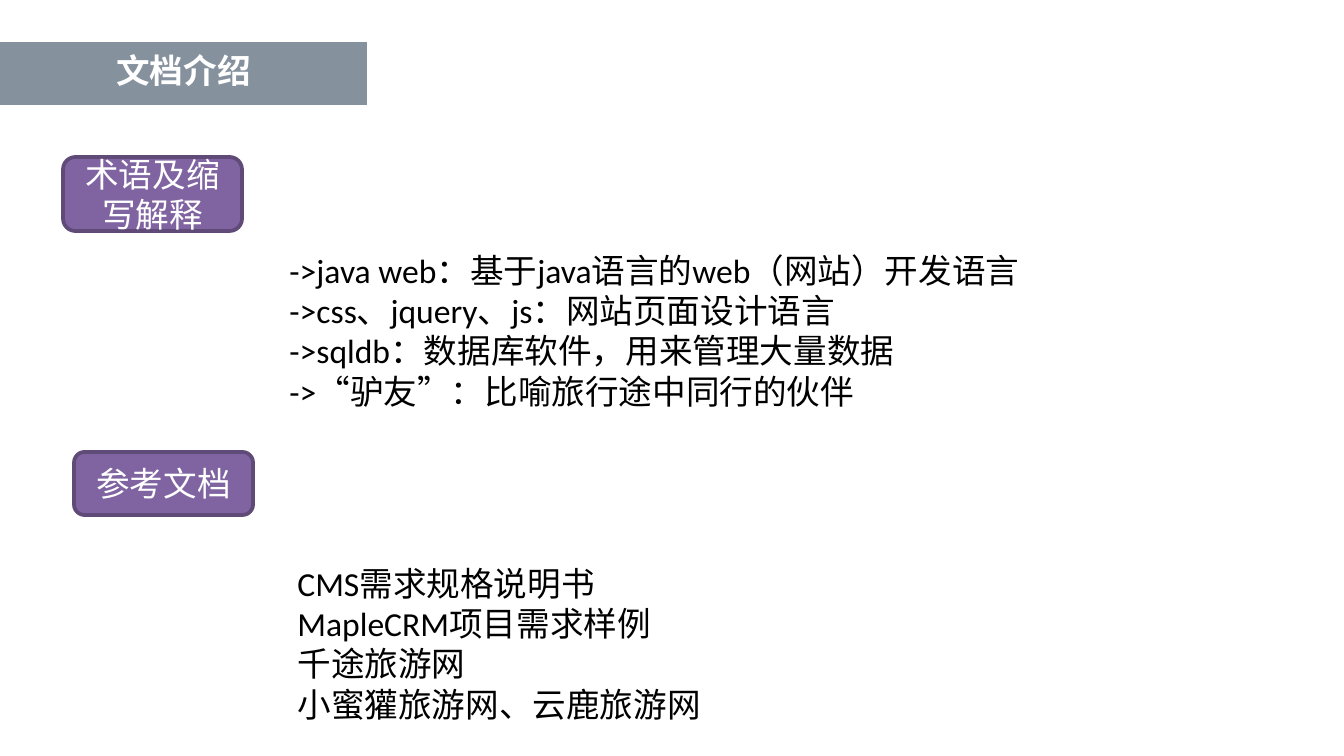
from dataclasses import dataclass

from lxml.etree import SubElement
from pptx import Presentation
from pptx.dml.color import RGBColor
from pptx.enum.shapes import MSO_SHAPE
from pptx.enum.text import MSO_ANCHOR, MSO_AUTO_SIZE, PP_ALIGN
from pptx.oxml.ns import qn
from pptx.util import Emu, Pt

EMU_PER_PX = 914400 / 134.4
NAVY = RGBColor(0x0F, 0x24, 0x3E)
PURPLE = RGBColor(0x80, 0x64, 0xA2)
DARK_PURPLE = RGBColor(0x5F, 0x4A, 0x78)
WHITE = RGBColor(0xFF, 0xFF, 0xFF)
BLACK = RGBColor(0, 0, 0)
FONT = {"name": "Calibri", "size": Pt(18), "bold": False}


@dataclass
class Box:
    left: int
    top: int
    width: int
    height: int


@dataclass
class Section:
    heading: str
    heading_box: Box
    lines: list[str]
    lines_box: Box


SECTIONS = [
    Section("术语及缩写解释", Box(63, 157, 179, 74),
            ["->java web：基于java语言的web（网站）开发语言",
             "->css、jquery、js：网站页面设计语言",
             "->sqldb：数据库软件，用来管理大量数据",
             "->“驴友”：比喻旅行途中同行的伙伴"],
            Box(276, 243, 765, 176)),
    Section("参考文档", Box(74, 452, 179, 63),
            ["CMS需求规格说明书", "MapleCRM项目需求样例", "千途旅游网",
             "小蜜獾旅游网、云鹿旅游网"],
            Box(284, 556, 641, 176)),
]


def px(length: int) -> Emu:
    return Emu(round(length * EMU_PER_PX))


def place(shape, box: Box) -> None:
    for side in ("left", "top", "width", "height"):
        setattr(shape, side, px(getattr(box, side)))


def write(shape, lines: list[str], font: dict, color: RGBColor,
          frame: dict, paragraph_format: dict) -> None:
    text_frame = shape.text_frame
    text_frame.text = "\n".join(lines)
    for key, value in ({"word_wrap": True} | frame).items():
        setattr(text_frame, key, value)
    for paragraph in text_frame.paragraphs:
        for key, value in paragraph_format.items():
            setattr(paragraph, key, value)
        run_font = paragraph.runs[0].font
        for key, value in (FONT | font).items():
            setattr(run_font, key, value)
        run_font.color.rgb = color


def draw_title(title, text: str, box: Box) -> None:
    place(title, box)
    title.fill.solid()
    title.fill.fore_color.rgb = NAVY
    # Half-transparent fill
    color = title._element.spPr.find(".//" + qn("a:srgbClr"))
    SubElement(color, qn("a:alpha"), val="50000")
    write(title, [text], {"bold": True}, WHITE,
          {"vertical_anchor": MSO_ANCHOR.MIDDLE, "auto_size": MSO_AUTO_SIZE.NONE},
          {"alignment": PP_ALIGN.CENTER, "line_spacing": 0.8})


def draw_heading(shapes, text: str, box: Box) -> None:
    heading = shapes.add_shape(MSO_SHAPE.ROUNDED_RECTANGLE, 0, 0, 0, 0)
    place(heading, box)
    heading.shadow.inherit = False
    heading.fill.solid()
    heading.fill.fore_color.rgb = PURPLE
    heading.line.color.rgb = DARK_PURPLE
    heading.line.width = Pt(2)
    write(heading, [text], {}, WHITE, {"vertical_anchor": MSO_ANCHOR.MIDDLE},
          {"alignment": PP_ALIGN.CENTER})


def draw_list(body, lines: list[str], box: Box) -> None:
    place(body, box)
    write(body, lines, {}, BLACK,
          {"vertical_anchor": MSO_ANCHOR.TOP,
           "auto_size": MSO_AUTO_SIZE.SHAPE_TO_FIT_TEXT},
          {"alignment": PP_ALIGN.LEFT, "space_before": Pt(0)})
    # Plain lines without bullet or indent
    for paragraph in body.text_frame.paragraphs:
        properties = paragraph._p.get_or_add_pPr()
        properties.set("marL", "0")
        properties.set("indent", "0")
        SubElement(properties, qn("a:buNone"))


def main() -> None:
    presentation = Presentation()
    presentation.slide_width, presentation.slide_height = px(1344), px(756)
    two_content = presentation.slide_layouts[3]
    slide = presentation.slides.add_slide(two_content)

    # Title band
    draw_title(slide.shapes.title, "文档介绍", Box(0, 42, 367, 63))

    # Headings with their lists
    for number, section in enumerate(SECTIONS, start=1):
        draw_heading(slide.shapes, section.heading, section.heading_box)
        draw_list(slide.placeholders[number], section.lines, section.lines_box)

    presentation.save("out.pptx")


if __name__ == "__main__":
    main()
